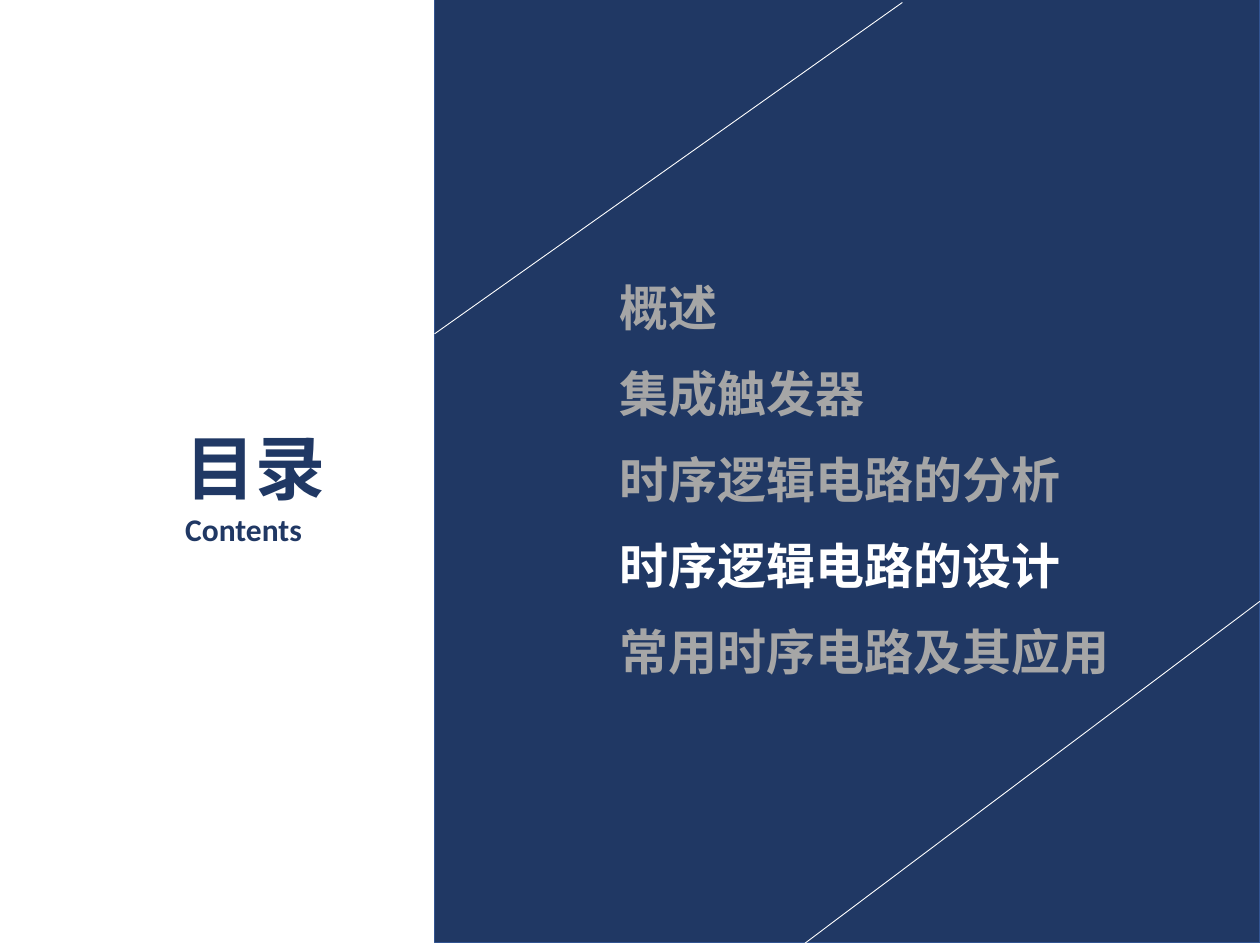
"""Build a contents slide with the current chapter highlighted."""
from dataclasses import dataclass

from lxml import etree
from pptx import Presentation
from pptx.dml.color import RGBColor
from pptx.enum.shapes import MSO_CONNECTOR, MSO_SHAPE
from pptx.enum.text import MSO_ANCHOR, MSO_AUTO_SIZE, PP_ALIGN
from pptx.oxml.ns import qn
from pptx.util import Cm, Pt

RECTANGLE = MSO_SHAPE.RECTANGLE
STRAIGHT = MSO_CONNECTOR.STRAIGHT
TOP = MSO_ANCHOR.TOP
LEFT = PP_ALIGN.LEFT
NO_AUTOFIT = MSO_AUTO_SIZE.NONE


@dataclass(frozen=True)
class Theme:
    navy: RGBColor = RGBColor(0x20, 0x38, 0x64)
    edge: RGBColor = RGBColor(0x32, 0x54, 0x91)
    white: RGBColor = RGBColor(0xFF, 0xFF, 0xFF)
    muted: RGBColor = RGBColor(0xA6, 0xA6, 0xA6)
    chinese: str = "Noto Sans CJK SC"
    latin: str = "Calibri"
    heading: int = 40
    subheading: int = 18
    chapter: int = 28


def place(placeholder, left, top, width, height):
    placeholder.left, placeholder.top = Cm(left), Cm(top)
    placeholder.width, placeholder.height = Cm(width), Cm(height)
    frame = placeholder.text_frame
    frame.word_wrap = True
    frame.auto_size = NO_AUTOFIT
    frame.vertical_anchor = TOP
    return frame


def format_paragraph(paragraph, font_name, size, color, pitch):
    paragraph.alignment = LEFT
    paragraph.line_spacing = Pt(pitch)
    paragraph.space_before = paragraph.space_after = Pt(0)
    for run in paragraph.runs:
        font = run.font
        font.name, font.size, font.bold = font_name, Pt(size), True
        font.color.rgb = color
        east_asian = etree.SubElement(font._element, qn("a:ea"))
        east_asian.set("typeface", font_name)


theme = Theme()
presentation = Presentation()
presentation.slide_width, presentation.slide_height = Cm(25.4), Cm(19.05)
slide = presentation.slides.add_slide(presentation.slide_layouts[1])
heading, chapters = slide.placeholders

heading_frame = place(heading, 3.48, 8.41, 4.22, 2.74)
heading_frame.text = "目录\nContents"
heading_styles = [
    (theme.chinese, theme.heading, 48.8),
    (theme.latin, theme.subheading, 22),
]
for paragraph, (font_name, size, pitch) in zip(heading_frame.paragraphs, heading_styles):
    format_paragraph(paragraph, font_name, size, theme.navy, pitch)

panel = slide.shapes.add_shape(RECTANGLE, Cm(8.76), Cm(-0.05), Cm(16.64), Cm(19.05))
panel.shadow.inherit = False
panel.fill.solid()
panel.fill.fore_color.rgb = theme.navy
panel.line.color.rgb = theme.edge
panel.line.width = Pt(1)

for ends in [(18.19, 0.05, 8.76, 6.73), (25.4, 12.12, 16.18, 19.05)]:
    diagonal = slide.shapes.add_connector(STRAIGHT, *map(Cm, ends))
    diagonal.line.color.rgb = theme.white
    diagonal.line.width = Pt(0.5)
    etree.SubElement(diagonal._element.spPr, qn("a:effectLst"))

slide.shapes._spTree.append(chapters._element)
chapter_frame = place(chapters, 12.24, 5.05, 12.07, 8.67)
chapter_frame.margin_top = chapter_frame.margin_bottom = 0
current_chapter = "时序逻辑电路的设计"
chapter_frame.text = "\n".join([
    "概述",
    "集成触发器",
    "时序逻辑电路的分析",
    current_chapter,
    "常用时序电路及其应用",
])
for paragraph in chapter_frame.paragraphs:
    color = theme.white if paragraph.text == current_chapter else theme.muted
    format_paragraph(paragraph, theme.chinese, theme.chapter, color, 49.14)
    properties = paragraph._p.get_or_add_pPr()
    properties.set("marL", "0")
    properties.set("indent", "0")
    etree.SubElement(properties, qn("a:buNone"))

presentation.save("out.pptx")
